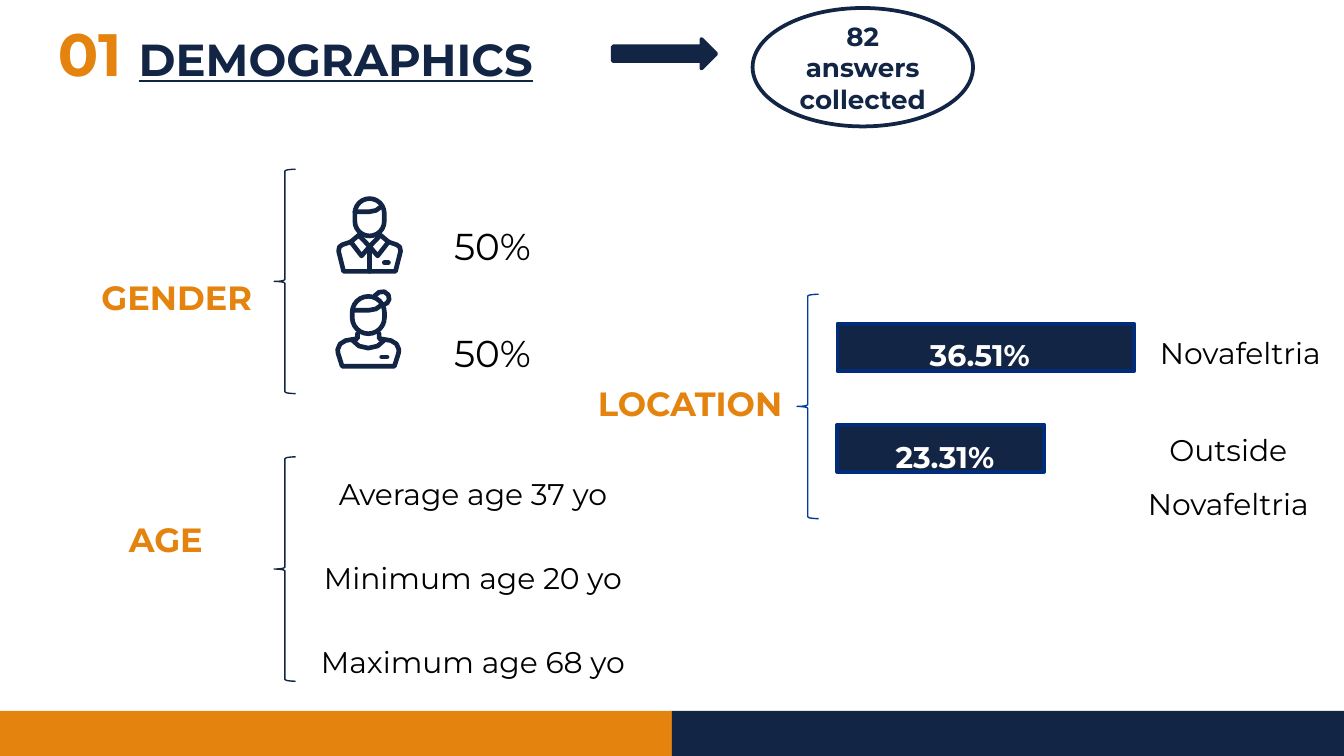
from pptx import Presentation
from pptx.dml.color import RGBColor
from pptx.enum import shapes, text
from pptx.util import Pt

NAVY = RGBColor(0x12, 0x25, 0x44)
ORANGE = RGBColor(0xE4, 0x83, 0x0E)
BLUE = RGBColor(0x00, 0x3A, 0x9F)
BAR_EDGE = RGBColor(0x00, 0x2C, 0x79)
BLACK = RGBColor(0, 0, 0)
WHITE = RGBColor(0xFF, 0xFF, 0xFF)
FONT = "Montserrat"
PRESET = shapes.MSO_SHAPE

presentation = Presentation()
presentation.slide_width, presentation.slide_height = Pt(720), Pt(405)
slide = presentation.slides.add_slide(presentation.slide_layouts[5])


def write(content, box=None, frame=None, size=16, color=BLACK, bold=False,
          spacing=1.0, after=0):
    """Write centred lines into the given frame, or into a new text box."""
    if frame is None:
        frame = slide.shapes.add_textbox(*map(Pt, box)).text_frame
        frame.margin_top = frame.margin_bottom = Pt(7.2)
    frame.word_wrap = True
    frame.text = content
    for paragraph in frame.paragraphs:
        paragraph.alignment = text.PP_ALIGN.CENTER
        paragraph.line_spacing = spacing
        paragraph.space_after = Pt(after)
        for run in paragraph.runs:
            run.font.name, run.font.size = FONT, Pt(size)
            run.font.bold, run.font.color.rgb = bold, color


def draw(outline, box=None, fill=None, line=None, width=2):
    """Draw a preset in the box, or a round-capped path through points."""
    if box:
        shape = slide.shapes.add_shape(outline, *map(Pt, box))
    else:
        points = [(Pt(x), Pt(y)) for x, y in outline]
        builder = slide.shapes.build_freeform(*points[0])
        builder.add_line_segments(points[1:], close=False)
        shape = builder.convert_to_shape()
    shape.shadow.inherit = False
    if fill is None:
        shape.fill.background()
    else:
        shape.fill.solid()
        shape.fill.fore_color.rgb = fill
    if line is None:
        shape.line.fill.background()
    else:
        shape.line.color.rgb, shape.line.width = line, Pt(width)
        if not box:
            shape.line._get_or_add_ln().set("cap", "rnd")
    return shape


# Title
title = slide.shapes.title
title.left, title.top, title.width, title.height = map(Pt, (23.8, 20.9, 284.4, 33.8))
frame = title.text_frame
frame.word_wrap = True
frame.auto_size = text.MSO_AUTO_SIZE.NONE
frame.vertical_anchor = text.MSO_ANCHOR.BOTTOM
frame.margin_top = frame.margin_bottom = Pt(7.2)
paragraph = frame.paragraphs[0]
paragraph.alignment = text.PP_ALIGN.LEFT
paragraph.line_spacing = 1.0
for content, size, color, underline in (("01 ", 32, ORANGE, False),
                                        ("DEMOGRAPHICS", 24, NAVY, True)):
    run = paragraph.add_run()
    run.text = content
    run.font.name, run.font.size, run.font.bold = FONT, Pt(size), True
    run.font.color.rgb, run.font.underline = color, underline

# Number of answers
draw(PRESET.RIGHT_ARROW, (328.3, 20.9, 55.4, 15.8), fill=NAVY, line=NAVY)
answers = draw(PRESET.OVAL, (403.2, 4.3, 118.1, 63.4), line=NAVY)
answers.text_frame.vertical_anchor = text.MSO_ANCHOR.MIDDLE
write("82 answers collected", frame=answers.text_frame, size=14, color=NAVY, bold=True)

# Section labels with their braces
for label, left, top, brace_left, brace_top, color in (
        ("GENDER", 5.8, 141.1, 146.9, 90.7, NAVY),
        ("AGE", 0, 270.7, 146.9, 244.8, NAVY),
        ("LOCATION", 280.8, 198, 427, 157.7, BLUE)):
    write(label, (left, top, 177.8, 32.4), size=18, color=ORANGE, bold=True, after=16)
    draw(PRESET.LEFT_BRACE, (brace_left, brace_top, 11.5, 120.2), line=color, width=0.75)

# Gender icons: origin, head box, then strokes relative to the origin
man = (180, 105.1), (10.1, 1.3, 15.8, 20), (
    ((10.1, 8.3), (18, 8.3), (21.5, 7.6), (24.3, 5.5)),  # hair
    ((7.9, 24.5), (3.5, 26), (1.8, 27.2), (1.4, 29.5), (4.1, 40.3),
     (31.9, 40.3), (34.6, 29.5), (34.2, 27.2), (32.5, 26), (28.1, 24.5)),  # body
    ((18, 27), (13.7, 32), (7.9, 24.5), (12.2, 20.9), (18, 27),
     (23.8, 20.9), (28.1, 24.5), (22.3, 32), (18, 27)),  # collar
    ((18, 27), (18, 40.3)),  # placket
    ((25.9, 35.6), (28.1, 35.6)))  # pocket
woman = (179.3, 154.8), (9.4, 4, 17.3, 20), (
    ((9.4, 11.5), (18, 11.5), (22, 10.8), (25.2, 8.6)),  # hair
    ((21.6, 3.6), (23.8, 1.8), (26.6, 1.5), (28.8, 3.2), (29.2, 5.6),
     (28.2, 7.6), (25.9, 8.6)),  # bun
    ((12.2, 24), (12.2, 26.6), (5.8, 27.7), (2.9, 29.5), (1.6, 32.5),
     (1.8, 34.5), (4, 41.4), (32, 41.4), (34.2, 34.5), (34.4, 32.5),
     (33.1, 29.5), (30.2, 27.7), (23.8, 26.6), (23.8, 24)),  # body
    ((9.4, 27.4), (13, 30.6), (18, 31.7), (23, 30.6), (26.6, 27.4)),  # neckline
    ((25.2, 36.4), (28.1, 36.4)))  # pocket
for (left, top), (x, y, width, height), strokes in (man, woman):
    head = draw(PRESET.ROUNDED_RECTANGLE, (left + x, top + y, width, height),
                line=NAVY, width=2.5)
    head.adjustments[0] = 0.5
    for stroke in strokes:
        draw([(left + x, top + y) for x, y in stroke], line=NAVY, width=2.5)

# Gender shares and ages
for box in ((230.4, 100.1, 67, 41.8), (221, 157.7, 85.7, 33.8)):
    write("50%", box, size=20, spacing=1.5, after=16)
write("Average age 37 yo\nMinimum age 20 yo\nMaximum age 68 yo",
      (121.7, 238.3, 263.5, 143.3), spacing=1.5, after=16)

# Location bars
for share, place, bar_top, bar_width, share_at, place_at in (
        ("36.51%", "Novafeltria", 173.5, 159.1, (486, 163.4), (604.8, 162.7)),
        ("23.31%", "Outside Novafeltria", 227.5, 110.9, (467.3, 218.2), (598.3, 214.6))):
    draw(PRESET.RECTANGLE, (448.6, bar_top, bar_width, 25.2), fill=NAVY, line=BAR_EDGE)
    write(share, (*share_at, 77.8, 41.8), color=WHITE, bold=True, spacing=1.5, after=16)
    write(place, (*place_at, 119.5, 79.2), spacing=1.5, after=16)

# Footer band
for left, color in ((0, ORANGE), (360, NAVY)):
    draw(PRESET.RECTANGLE, (left, 380.9, 360, 24.1), fill=color)

presentation.save("out.pptx")
